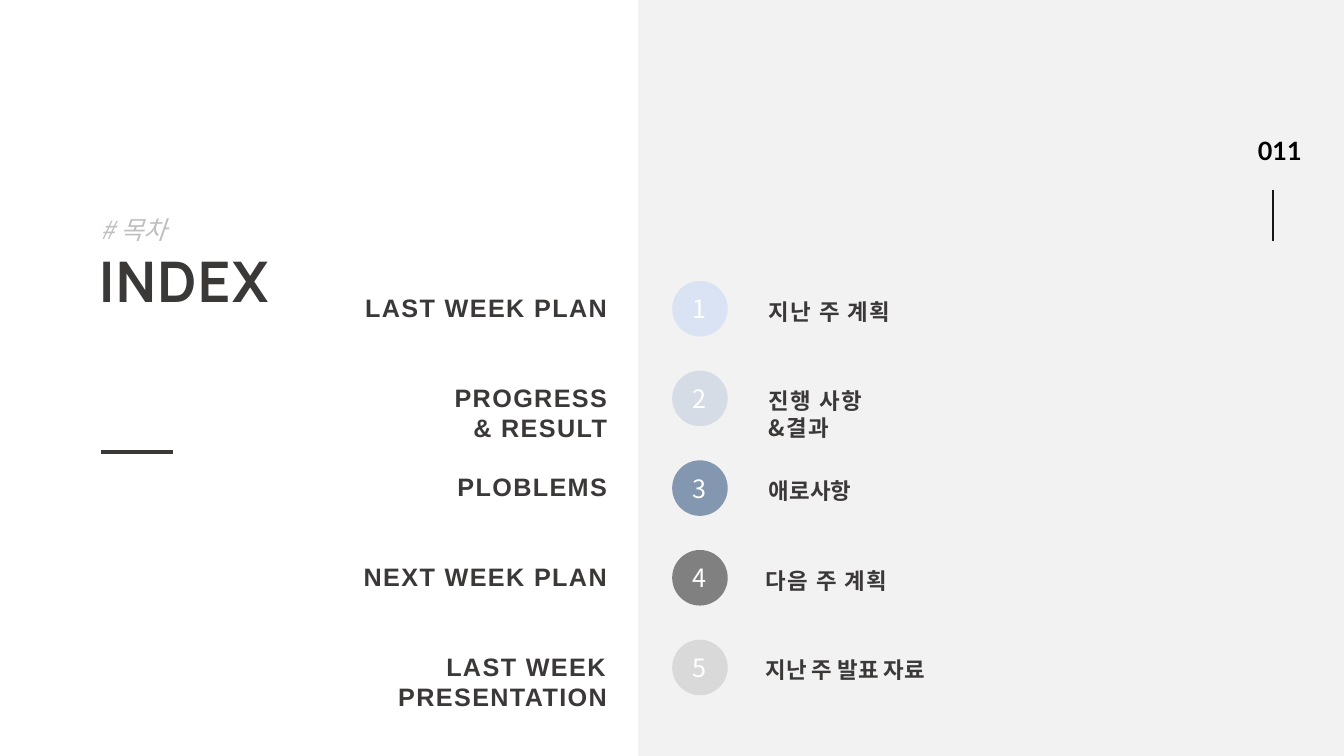
from lxml import etree
from pptx import Presentation
from pptx import util as u
from pptx.dml.color import RGBColor
from pptx.enum import shapes, text
from pptx.oxml import ns

WHITE = RGBColor(0xFF, 0xFF, 0xFF)
BLACK = RGBColor(0, 0, 0)
PANEL = RGBColor(0xF2, 0xF2, 0xF2)
DARK = RGBColor(0x3B, 0x38, 0x38)
INK = RGBColor(0x18, 0x17, 0x17)
PALE = RGBColor(0xBF, 0xBF, 0xBF)
ICE = RGBColor(0xDA, 0xE3, 0xF3)
MIST = RGBColor(0xD6, 0xDC, 0xE5)
STEEL = RGBColor(0x84, 0x97, 0xB0)
GRAY = RGBColor(0x80, 0x80, 0x80)
SILVER = RGBColor(0xD9, 0xD9, 0xD9)

LEFT, RIGHT, CENTER = text.PP_ALIGN.LEFT, text.PP_ALIGN.RIGHT, text.PP_ALIGN.CENTER
LATIN, KOREAN = "Arial", "Noto Sans CJK KR"
TOP, STEP = 7.08, 2.26
ITEMS = [
    ("LAST WEEK PLAN", "지난 주 계획", ICE, 19.13, 1),
    ("PROGRESS\n& RESULT", "진행 사항\n&결과", MIST, 19.13, 1),
    ("PLOBLEMS", "애로사항", STEEL, 19.13, 0),
    ("NEXT WEEK PLAN", "다음 주 계획", GRAY, 19.05, 1),
    ("LAST WEEK PRESENTATION", "지난 주 발표 자료", SILVER, 19.05, 0),
]


class Deck:
    """Draw styled elements on the current slide, in centimetres."""

    def __init__(self):
        self.prs = Presentation()
        self.prs.slide_width, self.prs.slide_height = u.Cm(33.87), u.Cm(19.05)
        self.slide = self.prs.slides.add_slide(self.prs.slide_layouts[6])

    def style(self, frame, words, font, size, color, align=LEFT, bold=False, italic=False, gap=0):
        frame.text = words
        for para in frame.paragraphs:
            para.alignment = align
            for run in para.runs:
                face = run.font
                face.name, face.size = font, u.Pt(size)
                face.bold, face.italic = bold, italic
                face.color.rgb = color
                props = run._r.get_or_add_rPr()
                etree.SubElement(props, ns.qn("a:ea")).set("typeface", font)
                if gap:
                    props.set("spc", str(gap * 100))

    def label(self, x, y, w, h, words, *look, wrap=True, **more):
        box = self.slide.shapes.add_textbox(u.Cm(x), u.Cm(y), u.Cm(w), u.Cm(h))
        box.text_frame.word_wrap = wrap
        self.style(box.text_frame, words, *look, **more)
        return box.text_frame.paragraphs[0]

    def shape(self, kind, x, y, w, h, fill):
        item = self.slide.shapes.add_shape(kind, u.Cm(x), u.Cm(y), u.Cm(w), u.Cm(h))
        item.shadow.inherit = False
        item.fill.solid()
        item.fill.fore_color.rgb = fill
        item.line.fill.background()
        return item

    def badge(self, x, y, size, num, fill):
        disc = self.shape(shapes.MSO_SHAPE.OVAL, x, y, size, size, fill)
        disc.text_frame.vertical_anchor = text.MSO_ANCHOR.MIDDLE
        self.style(disc.text_frame, str(num), KOREAN, 18, WHITE, CENTER)

    def rule(self, x1, y1, x2, y2, color, width):
        line = self.slide.shapes.add_connector(
            shapes.MSO_CONNECTOR.STRAIGHT, u.Cm(x1), u.Cm(y1), u.Cm(x2), u.Cm(y2))
        line.line.color.rgb = color
        line.line.width = u.Pt(width)
        etree.SubElement(line._element.spPr, ns.qn("a:effectLst"))


def main():
    deck = Deck()
    deck.shape(shapes.MSO_SHAPE.RECTANGLE, 16.08, 0, 17.79, 19.05, PANEL)
    deck.label(31.45, 3.28, 1.63, 1.02, "011", "Lato", 18, BLACK, bold=True, wrap=False)
    deck.rule(32.08, 4.78, 32.08, 6.07, INK, 1.5)

    title = deck.label(2.24, 6.27, 9.02, 3.76, "INDEX", "Manrope", 40, DARK, bold=True, gap=1)
    title.line_spacing = 0.9
    deck.rule(2.54, 11.4, 4.37, 11.4, DARK, 2.75)
    tag = deck.label(2.29, 5.41, 11, 1.04, "# 목차", KOREAN, 18, PALE, italic=True)
    tag.line_spacing, tag.space_before = u.Pt(18), u.Pt(12)

    for i, (name, local, fill, x, gap) in enumerate(ITEMS):
        y = TOP + i * STEP
        deck.badge(16.94, y, 1.4, i + 1, fill)
        deck.label(7.1, y + 0.16, 8.45, 1.02, name, LATIN, 18, DARK, RIGHT, bold=True, gap=1)
        deck.label(x, y + 0.3, 6.8, 0.94, local, KOREAN, 16, DARK, bold=True, gap=gap)

    deck.prs.save("out.pptx")


if __name__ == "__main__":
    main()
